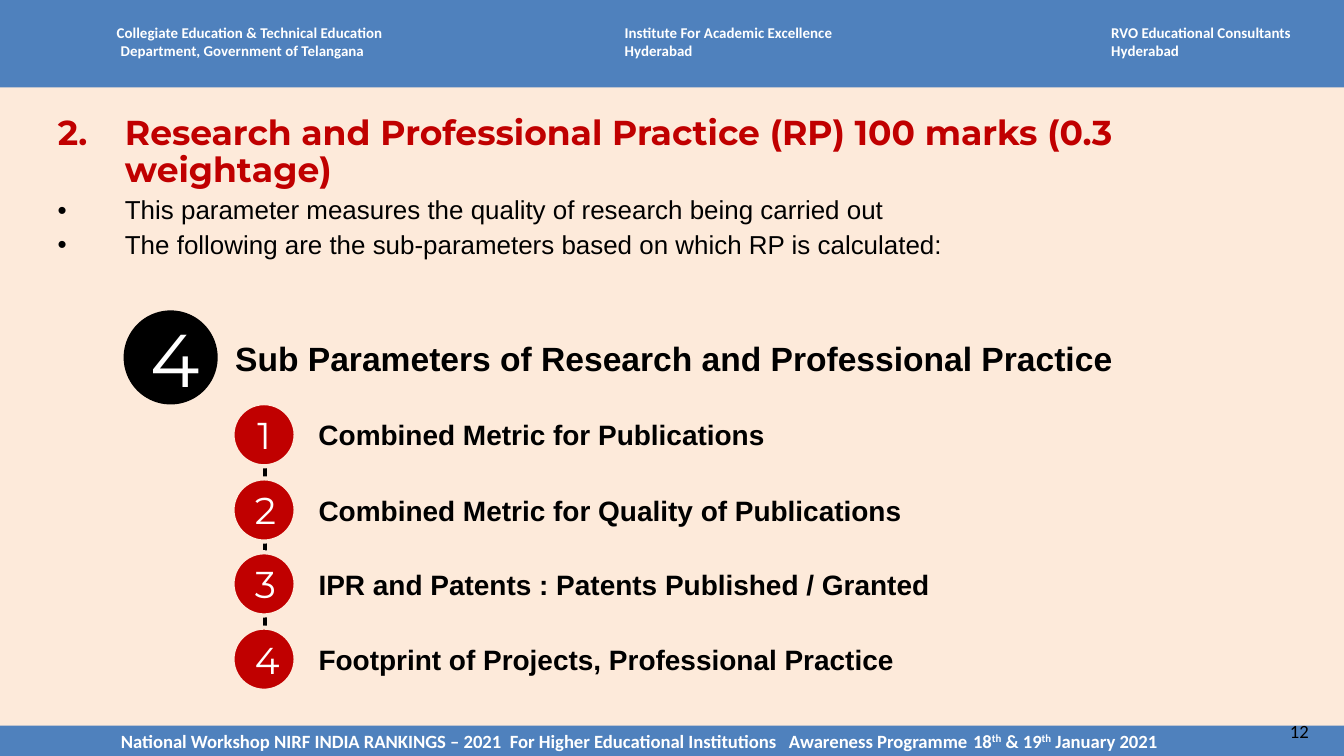
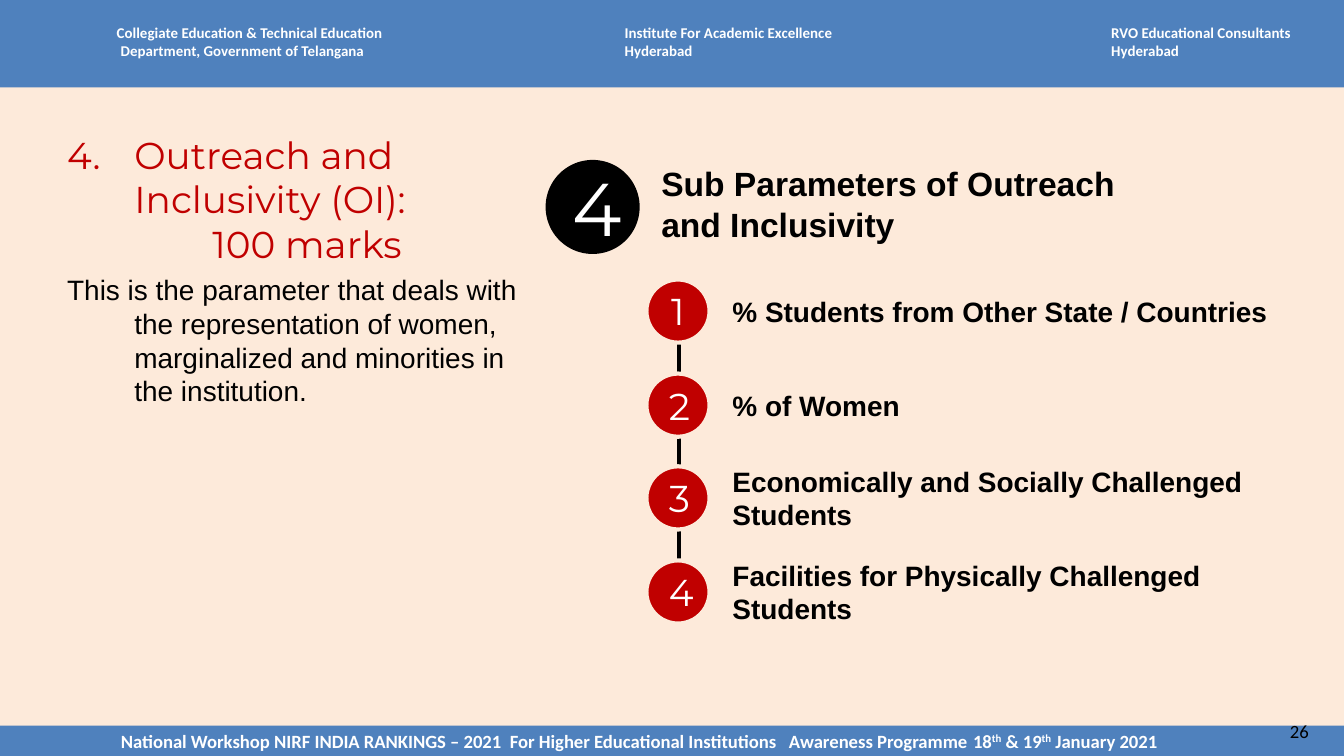
"""Build two workshop slides on ranking sub-parameters."""
from dataclasses import dataclass
from typing import NamedTuple

from lxml import etree
from pptx import Presentation
from pptx.dml.color import RGBColor
from pptx.enum.shapes import MSO_CONNECTOR, MSO_SHAPE
from pptx.enum.text import MSO_ANCHOR, MSO_AUTO_SIZE, PP_ALIGN
from pptx.oxml.ns import qn
from pptx.util import Emu, Pt

RECT, OVAL = MSO_SHAPE.RECTANGLE, MSO_SHAPE.OVAL
LINE = MSO_CONNECTOR.STRAIGHT
TOP, MID = MSO_ANCHOR.TOP, MSO_ANCHOR.MIDDLE
LEFT, CENTER = PP_ALIGN.LEFT, PP_ALIGN.CENTER
FIXED = MSO_AUTO_SIZE.NONE

PX = 9144
WIDE = 1000
CREAM, BLUE, RED = "FDEADA", "4F81BD", "C00000"
BLACK, WHITE = "000000", "FFFFFF"
SANS, HEAD, BAND = "Arial", "Montserrat", "Calibri"
BIG, DOT, ROW = 70, 47, 43


class Box(NamedTuple):
    left: int
    top: int
    wide: int
    high: int


class Item(NamedTuple):
    text: str
    wide: int


@dataclass(frozen=True)
class Face:
    size: float
    font: str
    color: str
    bold: bool = False


@dataclass(frozen=True)
class Run:
    text: str
    face: Face
    raised: bool = False


@dataclass(frozen=True)
class Para:
    runs: tuple[Run, ...]
    left: int = 0
    hang: int = 0
    before: float = 0
    space: float = 1
    bullet: str = ""
    tabs: tuple[int, ...] = ()
    align: PP_ALIGN = LEFT


@dataclass(frozen=True)
class Group:
    title: str
    head: Box
    mark: tuple[int, int]
    dots: tuple[int, int]
    span: int
    items: tuple[Item, ...]


SMALL = Face(8, BAND, WHITE, True)
FOOT = Face(10, BAND, WHITE, True)
PAGE = Face(10, BAND, BLACK)
LEAD = Face(18, SANS, BLACK, True)
LABEL = Face(15, SANS, BLACK, True)
COUNT = Face(40, HEAD, WHITE)
DIGIT = Face(20, HEAD, WHITE)


def emu(px: int) -> Emu:
    return Emu(px * PX)


def place(box: Box) -> list[Emu]:
    return [emu(n) for n in box]


def rgb(code: str) -> RGBColor:
    return RGBColor.from_string(code)


def line(text: str, face: Face, **kind) -> Para:
    return Para((Run(text, face),), **kind)


def write(frame, paras: list[Para]) -> None:
    for i, para in enumerate(paras):
        p = frame.paragraphs[0] if i == 0 else frame.add_paragraph()
        ppr = p._p.get_or_add_pPr()
        ppr.set("marL", str(emu(para.left)))
        ppr.set("indent", str(-emu(para.hang)))
        if para.bullet:
            etree.SubElement(ppr, qn("a:buFont")).set("typeface", SANS)
            etree.SubElement(ppr, qn("a:buChar")).set("char", para.bullet)
        if para.tabs:
            stops = etree.SubElement(ppr, qn("a:tabLst"))
            for tab in para.tabs:
                stop = etree.SubElement(stops, qn("a:tab"))
                stop.set("pos", str(emu(tab)))
                stop.set("algn", "l")
        p.alignment = para.align
        p.line_spacing = para.space
        p.space_before = Pt(para.before)
        for part in para.runs:
            r = p.add_run()
            r.text = part.text
            font, face = r.font, part.face
            font.size, font.name, font.bold = Pt(face.size), face.font, face.bold
            font.color.rgb = rgb(face.color)
            if part.raised:
                r._r.get_or_add_rPr().set("baseline", "30000")


def trim(frame, left: int = 0, top: int = 0, anchor=TOP, wrap: bool = True) -> None:
    frame.margin_left = frame.margin_right = emu(left)
    frame.margin_top = frame.margin_bottom = emu(top)
    frame.vertical_anchor = anchor
    frame.word_wrap = wrap
    frame.auto_size = FIXED


def text(slide, box: Box, paras: list[Para], **kind) -> None:
    frame = slide.shapes.add_textbox(*place(box)).text_frame
    trim(frame, **kind)
    write(frame, paras)


def shape(slide, kind, box: Box, color: str, edge: str = ""):
    item = slide.shapes.add_shape(kind, *place(box))
    item.shadow.inherit = False
    item.fill.solid()
    item.fill.fore_color.rgb = rgb(color)
    if edge:
        item.line.color.rgb = rgb(edge)
        item.line.width = Pt(2.25)
    else:
        item.line.fill.background()
    return item


def badge(slide, box: Box, label: str, face: Face, color: str, edge: str = "") -> None:
    frame = shape(slide, OVAL, box, color, edge).text_frame
    frame.vertical_anchor = MID
    write(frame, [line(label, face, align=CENTER)])


def bands(slide, page: str) -> None:
    shape(slide, RECT, Box(0, 0, WIDE, 65), BLUE)
    heads = (
        (Box(77, 13, 222, 37), "Collegiate Education & Technical Education",
         "Department, Government of Telangana", 3),
        (Box(455, 13, 175, 37), "Institute For Academic Excellence", "Hyderabad", 0),
        (Box(817, 13, 167, 37), "RVO Educational Consultants", "Hyderabad", 0),
    )
    for box, name, town, left in heads:
        paras = [line(name, SMALL), line(town, SMALL, left=left)]
        text(slide, box, paras, left=10, top=5, wrap=False)
    foot = shape(slide, RECT, Box(0, 540, WIDE, 23), BLUE).text_frame
    trim(foot, left=74, anchor=MID)
    runs = (
        Run("National Workshop NIRF INDIA RANKINGS – 2021  For Higher Educational "
            "Institutions   Awareness Programme\t18", FOOT),
        Run("th", FOOT, True),
        Run(" & 19", FOOT),
        Run("th", FOOT, True),
        Run(" January 2021", FOOT),
    )
    write(foot, [Para(runs, hang=-16, tabs=(700,))])
    text(slide, Box(950, 531, 50, 27), [line(page, PAGE)], left=10, top=5)


def start(deck, page: str, box: Box, paras: list[Para]):
    slide = deck.slides.add_slide(deck.slide_layouts[5])
    bands(slide, page)
    title = slide.shapes.title
    title.left, title.top, title.width, title.height = place(box)
    trim(title.text_frame)
    write(title.text_frame, paras)
    return slide


def chain(slide, group: Group) -> None:
    left, top = group.dots
    half = DOT // 2
    mid = left + half + 1
    ends = (mid, top + half, mid, top + group.span + half)
    rod = slide.shapes.add_connector(LINE, *[emu(n) for n in ends])
    rod.line.color.rgb = rgb(BLACK)
    rod.line.width = Pt(2.25)
    etree.SubElement(rod._element.spPr, qn("a:effectLst"))
    text(slide, group.head, [line(group.title, LEAD)], anchor=MID)
    count = len(group.items)
    badge(slide, Box(*group.mark, BIG, BIG), str(count), COUNT, BLACK)
    for i, item in enumerate(group.items):
        y = top + round(i * group.span / (count - 1))
        badge(slide, Box(left, y, DOT, DOT), str(i + 1), DIGIT, RED, CREAM)
        text(slide, Box(left + 64, y + 2, item.wide, ROW),
             [line(item.text, LABEL)], anchor=MID)


def research(deck) -> None:
    face = Face(18.5, HEAD, RED, True)
    title = "2. \tResearch and Professional Practice (RP) 100 marks (0.3 weightage)"
    slide = start(deck, "12", Box(43, 86, 913, 57),
                  [line(title, face, left=50, hang=50, space=0.9, tabs=(0,))])
    notes = (
        "This parameter measures the quality of research being carried out",
        "The following are the sub-parameters based on which RP is calculated:",
    )
    body = Face(13.9, SANS, BLACK)
    text(slide, Box(43, 147, 913, 62),
         [line(note, body, left=50, hang=50, space=0.9, bullet="•",
               before=3.7 if i else 0) for i, note in enumerate(notes)])
    chain(slide, Group(
        "Sub Parameters of Research and Professional Practice",
        Box(175, 245, 775, ROW), (92, 231), (173, 300), 167,
        (Item("Combined Metric for Publications", 340),
         Item("Combined Metric for Quality of Publications", 661),
         Item("IPR and Patents : Patents Published / Granted", 661),
         Item("Footprint of Projects, Professional Practice", 661))))


def outreach(deck) -> None:
    face = Face(20, HEAD, RED)
    slide = start(deck, "26", Box(0, 98, 400, 102), [
        line("4. \tOutreach and Inclusivity (OI):", face, left=100, hang=50, tabs=(0,)),
        line("100 marks", face, left=158)])
    note = ("This is the parameter that deals with the representation of women, "
            "marginalized and minorities in the institution.")
    text(slide, Box(0, 203, 400, 112),
         [line(note, Face(15, SANS, BLACK), left=100, hang=50)])
    names = (
        "% Students from Other State / Countries",
        "% of Women",
        "Economically and Socially Challenged Students",
        "Facilities for Physically Challenged Students",
    )
    chain(slide, Group(
        "Sub Parameters of Outreach and Inclusivity",
        Box(492, 130, 342, ROW), (406, 119), (481, 208), 209,
        tuple(Item(name, 416) for name in names)))


def main() -> None:
    deck = Presentation()
    deck.slide_width = emu(WIDE)
    deck.slide_height = Emu(emu(WIDE) * 9 // 16)
    fill = deck.slide_master.background.fill
    fill.solid()
    fill.fore_color.rgb = rgb(CREAM)
    research(deck)
    outreach(deck)
    deck.save("out.pptx")


if __name__ == "__main__":
    main()
